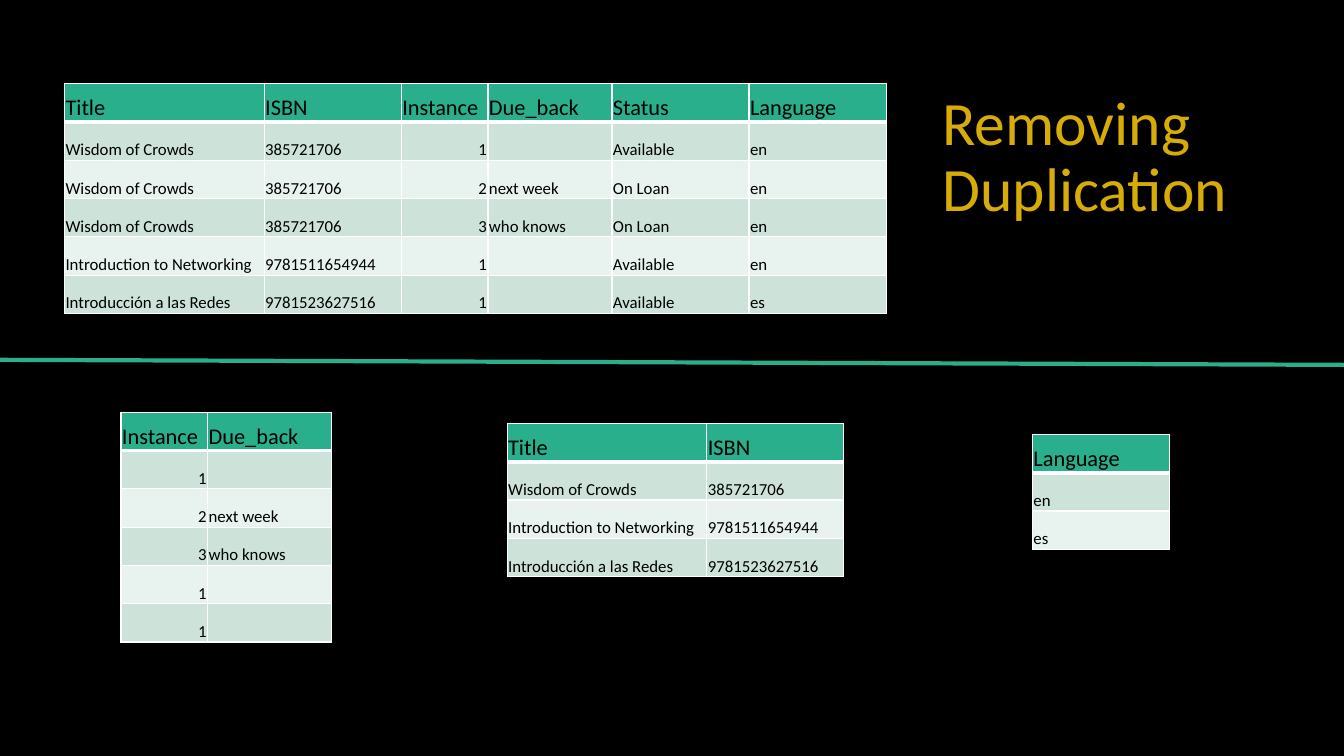
import pptx
import pptx.dml.color
import pptx.enum.shapes
import pptx.enum.text
import pptx.oxml
import pptx.oxml.ns
import pptx.util

Inches = pptx.util.Inches
Pt = pptx.util.Pt

FONT = "Calibri"
BLACK, WHITE, GREEN, GOLD = "000000", "FFFFFF", "29AF8C", "D7AC08"
BANDS = ["CDE3DA", "E8F2EE"]
ROW_HEIGHT = 0.38

COLUMN_WIDTHS = {"Title": 1.98, "ISBN": 1.36, "Instance": 0.86,
                 "Due_back": 1.23, "Status": 1.36, "Language": 1.36}
BOOKS = [
    ("Wisdom of Crowds", "385721706", "1", "", "Available", "en"),
    ("Wisdom of Crowds", "385721706", "2", "next week", "On Loan", "en"),
    ("Wisdom of Crowds", "385721706", "3", "who knows", "On Loan", "en"),
    ("Introduction to Networking", "9781511654944", "1", "", "Available", "en"),
    ("Introducción a las Redes", "9781523627516", "1", "", "Available", "es"),
]


def color(hex_string):
    return pptx.dml.color.RGBColor.from_string(hex_string)


def add_run(paragraph, text, size, hex_string):
    run = paragraph.add_run()
    run.text = text
    run.font.name = FONT
    run.font.size = Pt(size)
    run.font.color.rgb = color(hex_string)


def set_borders(cell, top, bottom):
    """Draw white borders; schema order puts them before the fill."""
    properties = cell._tc.get_or_add_tcPr()
    widths = {"lnL": 1, "lnR": 1, "lnT": top, "lnB": bottom}
    for position, (side, width) in enumerate(widths.items()):
        properties.insert(position, pptx.oxml.parse_xml(
            f'<a:{side} {pptx.oxml.ns.nsdecls("a")} w="{Pt(width)}">'
            f'<a:solidFill><a:srgbClr val="{WHITE}"/></a:solidFill></a:{side}>'))


def fill_cell(cell, text, row, column_name):
    cell.margin_left = cell.margin_top = cell.margin_right = Inches(0.01)
    cell.margin_bottom = 0
    cell.vertical_anchor = pptx.enum.text.MSO_ANCHOR.BOTTOM
    cell.fill.solid()
    cell.fill.fore_color.rgb = color(BANDS[(row - 1) % 2] if row else GREEN)
    set_borders(cell, top=3 if row == 1 else 1, bottom=1 if row else 3)
    paragraph = cell.text_frame.paragraphs[0]
    if row and column_name == "Instance":
        paragraph.alignment = pptx.enum.text.PP_ALIGN.RIGHT
    if text:
        add_run(paragraph, text, 12 if row else 16, BLACK)


def add_book_table(slide, left, top, names, distinct=False):
    """Show the chosen columns of BOOKS, optionally without repeated rows."""
    all_names = list(COLUMN_WIDTHS)
    records = [tuple(book[all_names.index(name)] for name in names) for book in BOOKS]
    if distinct:
        records = list(dict.fromkeys(records))
    rows = [names] + records
    width = sum(COLUMN_WIDTHS[name] for name in names)
    table = slide.shapes.add_table(
        len(rows), len(names), Inches(left), Inches(top),
        Inches(width), Inches(ROW_HEIGHT * len(rows))).table
    for column, name in zip(table.columns, names):
        column.width = Inches(COLUMN_WIDTHS[name])
    for row, texts in enumerate(rows):
        table.rows[row].height = Inches(ROW_HEIGHT)
        for column, text in enumerate(texts):
            fill_cell(table.cell(row, column), text, row, names[column])


def add_divider(slide, left, top, width, height):
    line = slide.shapes.add_connector(
        pptx.enum.shapes.MSO_CONNECTOR.STRAIGHT, Inches(left), Inches(top),
        Inches(left + width), Inches(top + height))
    line.line.color.rgb = color(GREEN)
    line.line.width = Pt(3)
    line._element.spPr.append(pptx.oxml.parse_xml(
        f'<a:effectLst {pptx.oxml.ns.nsdecls("a")}/>'))


def add_title(slide, left, top, width, height):
    title = slide.shapes.add_textbox(
        Inches(left), Inches(top), Inches(width), Inches(height))
    frame = title.text_frame
    frame.word_wrap = True
    frame.vertical_anchor = pptx.enum.text.MSO_ANCHOR.MIDDLE
    paragraph = frame.paragraphs[0]
    paragraph.line_spacing = 0.9
    add_run(paragraph, "Removing Duplication", 44, GOLD)


presentation = pptx.Presentation()
presentation.slide_width = Inches(13.33)
presentation.slide_height = Inches(7.5)
slide = presentation.slides.add_slide(presentation.slide_layouts[6])
slide.background.fill.solid()
slide.background.fill.fore_color.rgb = color(BLACK)

# Full table above the divider
add_book_table(slide, 0.64, 0.83, list(COLUMN_WIDTHS))

# Separated tables below it
add_book_table(slide, 5.03, 4.2, ["Title", "ISBN"], distinct=True)
add_book_table(slide, 1.2, 4.09, ["Instance", "Due_back"])
add_book_table(slide, 10.24, 4.31, ["Language"], distinct=True)

add_divider(slide, 0, 3.57, 13.33, 0.05)
add_title(slide, 9.25, 0.85, 3.35, 1.45)

presentation.save("out.pptx")
